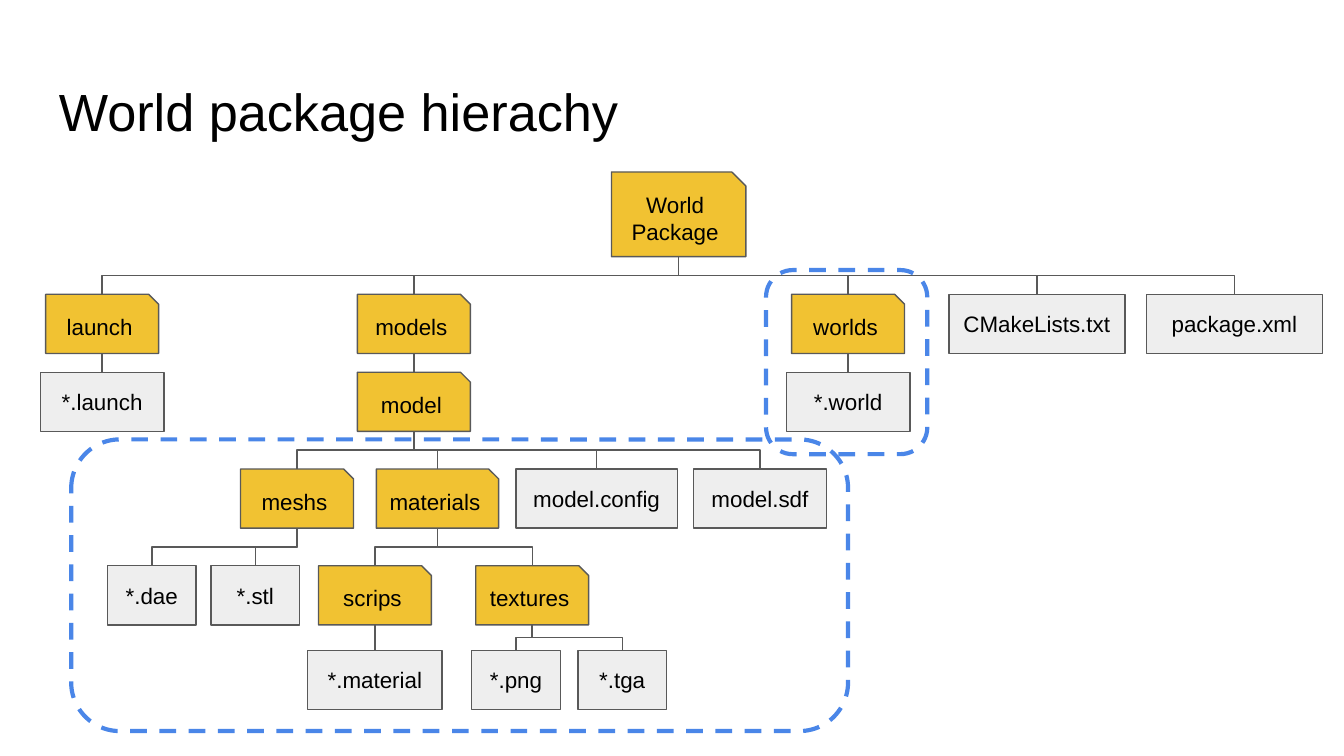
from lxml import etree
from pptx import Presentation
from pptx.dml.color import RGBColor
from pptx.enum.dml import MSO_LINE
from pptx.enum.shapes import MSO_CONNECTOR, MSO_SHAPE
from pptx.enum.text import MSO_ANCHOR, PP_ALIGN
from pptx.oxml.ns import qn
from pptx.util import Inches, Pt

FOLDER, FILE = MSO_SHAPE.SNIP_1_RECTANGLE, MSO_SHAPE.RECTANGLE
ROUNDED, DASH = MSO_SHAPE.ROUNDED_RECTANGLE, MSO_LINE.DASH
ELBOW, STRAIGHT = MSO_CONNECTOR.ELBOW, MSO_CONNECTOR.STRAIGHT
TOP, MIDDLE = MSO_ANCHOR.TOP, MSO_ANCHOR.MIDDLE
LEFT, CENTER = PP_ALIGN.LEFT, PP_ALIGN.CENTER
TOP_SIDE, BOTTOM_SIDE = 0, 2

FONT, BLACK, GRAY = "Arial", "000000", "595959"
FOLDER_FILL, FILE_FILL, HIGHLIGHT = "F1C232", "EEEEEE", "4A86E8"

SLIDE_WIDTH = Inches(10)
SLIDE_HEIGHT = SLIDE_WIDTH * 9 // 16
TITLE_BOX = (0.34, 0.49, 9.32, 0.63)
TREE_ORIGIN = (0.3, 1.28)
HIGHLIGHT_BOXES = [(5.7, 2.01, 1.2, 1.37), (0.53, 3.27, 5.78, 2.17)]

# One row per depth of the tree, measured from the tree's top
ROW_TOPS = [0, 0.91, 1.49, 2.21, 2.93, 3.56]
ROOT_HEIGHT, NODE_HEIGHT = 0.63, 0.44

# Each node: label, left within the tree, width, children
PACKAGE_TREE = ("World Package", 4.25, 1, [
    ("launch", 0.04, 0.84, [("*.launch", 0, 0.92, [])]),
    ("models", 2.36, 0.84, [
        ("model", 2.36, 0.84, [
            ("meshs", 1.49, 0.84, [
                ("*.dae", 0.5, 0.66, []),
                ("*.stl", 1.27, 0.66, []),
            ]),
            ("materials", 2.5, 0.91, [
                ("scrips", 2.07, 0.84, [("*.material", 1.99, 1, [])]),
                ("textures", 3.24, 0.84, [
                    ("*.png", 3.21, 0.66, []),
                    ("*.tga", 4, 0.66, []),
                ]),
            ]),
            ("model.config", 3.54, 1.2, []),
            ("model.sdf", 4.86, 0.99, []),
        ]),
    ]),
    ("worlds", 5.59, 0.84, [("*.world", 5.55, 0.92, [])]),
    ("CMakeLists.txt", 6.76, 1.31, []),
    ("package.xml", 8.23, 1.31, []),
])


def color(hex_code):
    return RGBColor.from_string(hex_code)


def write_text(frame, text, size, align, frame_format):
    for name, value in frame_format.items():
        setattr(frame, name, value)
    paragraph = frame.paragraphs[0]
    paragraph.alignment = align
    run = paragraph.add_run()
    run.text = text
    for name, value in {"name": FONT, "size": Pt(size)}.items():
        setattr(run.font, name, value)
    run.font.color.rgb = color(BLACK)


def add_title(slide, box, text):
    title = slide.shapes.add_textbox(*map(Inches, box))
    write_text(title.text_frame, text, 28, LEFT, {
        "word_wrap": True, "vertical_anchor": TOP,
        "margin_left": Inches(0.1), "margin_right": Inches(0.1),
        "margin_top": Inches(0.1), "margin_bottom": Inches(0.1),
    })


def add_node(slide, box, label, is_folder):
    node = slide.shapes.add_shape(FOLDER if is_folder else FILE, *map(Inches, box))
    node.shadow.inherit = False
    node.fill.solid()
    node.fill.fore_color.rgb = color(FOLDER_FILL if is_folder else FILE_FILL)
    node.line.color.rgb = color(GRAY)
    node.line.width = Pt(0.75)
    write_text(node.text_frame, label, 12, CENTER, {
        "word_wrap": True, "vertical_anchor": MIDDLE,
        "margin_left": Inches(0.05), "margin_right": Inches(0.05),
        "margin_top": Inches(0.1), "margin_bottom": Inches(0.1),
    })
    return node


def add_branch(slide, parent, child):
    start_x, start_y = parent.left + parent.width // 2, parent.top + parent.height
    end_x, end_y = child.left + child.width // 2, child.top
    drop, shift = end_y - start_y, end_x - start_x
    if abs(shift) < Inches(0.03):
        branch = slide.shapes.add_connector(STRAIGHT, start_x, start_y, end_x, end_y)
        branch.begin_connect(parent, BOTTOM_SIDE)
        branch.end_connect(child, TOP_SIDE)
    else:
        # A quarter turn makes the elbow leave and arrive vertically
        left = (start_x + end_x - drop) // 2
        top = (start_y + end_y - abs(shift)) // 2
        ends = (left + drop, left) if shift > 0 else (left, left + drop)
        branch = slide.shapes.add_connector(ELBOW, ends[0], top, ends[1], top + abs(shift))
        turn = 270 if shift > 0 else 90
        branch._element.spPr.find(qn("a:xfrm")).set("rot", str(turn * 60000))
    branch.line.color.rgb = color(GRAY)
    branch.line.width = Pt(0.75)
    etree.SubElement(branch._element.spPr, qn("a:effectLst"))


def add_tree(slide, origin, tree, depth=0):
    label, left, width, children = tree
    height = NODE_HEIGHT if depth else ROOT_HEIGHT
    box = (origin[0] + left, origin[1] + ROW_TOPS[depth], width, height)
    node = add_node(slide, box, label, bool(children))
    for subtree in children:
        add_branch(slide, node, add_tree(slide, origin, subtree, depth + 1))
    return node


def add_highlight(slide, box):
    outline = slide.shapes.add_shape(ROUNDED, *map(Inches, box))
    outline.shadow.inherit = False
    outline.fill.background()
    outline.line.color.rgb = color(HIGHLIGHT)
    for name, value in {"width": Pt(2.25), "dash_style": DASH}.items():
        setattr(outline.line, name, value)


def main():
    deck = Presentation()
    deck.slide_width, deck.slide_height = SLIDE_WIDTH, SLIDE_HEIGHT
    slide = deck.slides.add_slide(deck.slide_layouts[6])
    add_title(slide, TITLE_BOX, "World package hierachy")
    add_tree(slide, TREE_ORIGIN, PACKAGE_TREE)
    for box in HIGHLIGHT_BOXES:
        add_highlight(slide, box)
    deck.save("out.pptx")


if __name__ == "__main__":
    main()
